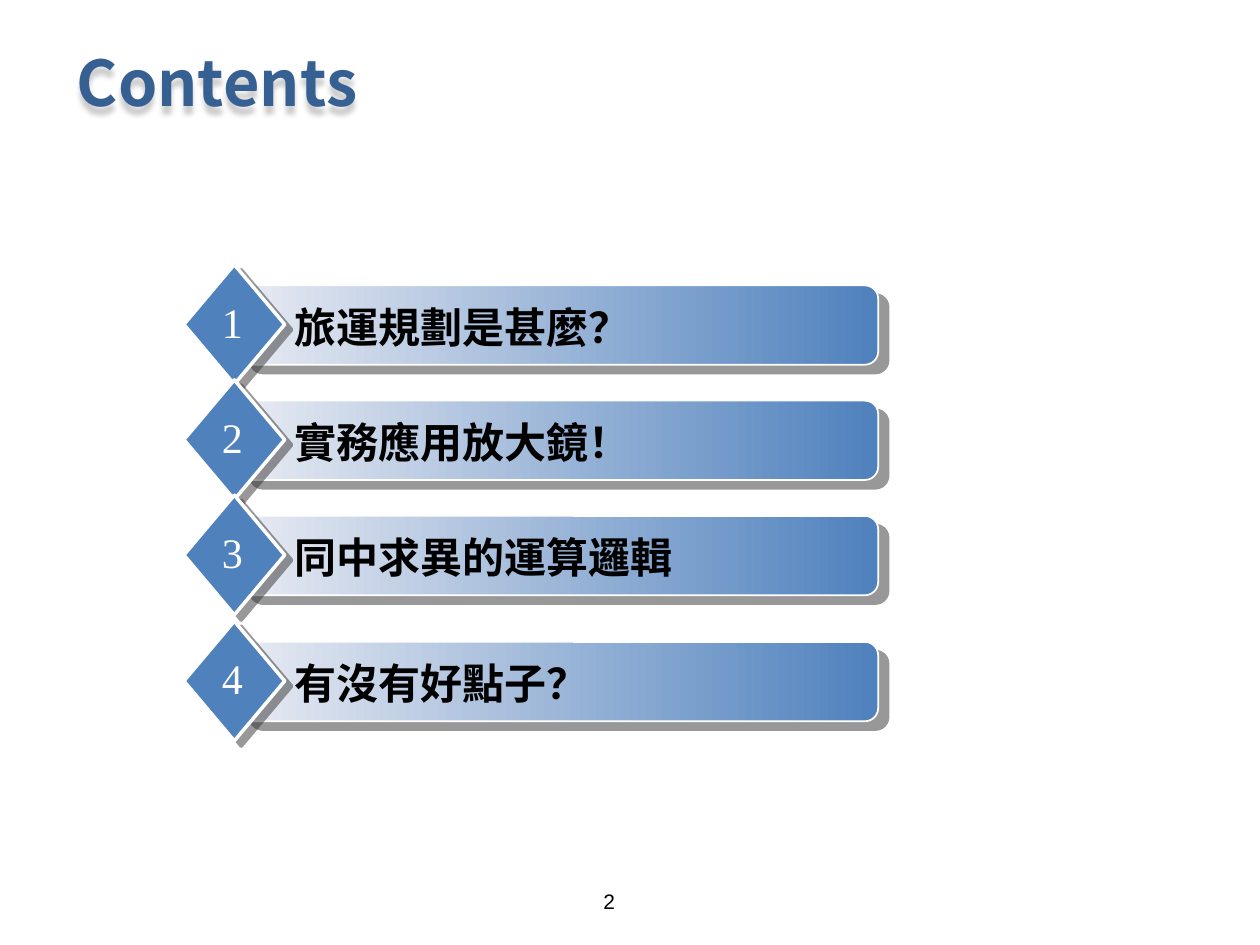
from dataclasses import dataclass

from lxml.etree import SubElement
from pptx import Presentation
from pptx.dml.color import RGBColor as RGB
from pptx.enum.shapes import MSO_SHAPE as SHAPE
from pptx.enum.text import MSO_ANCHOR as ANCHOR, MSO_AUTO_SIZE as FIT, PP_ALIGN as ALIGN
from pptx.oxml.ns import qn
from pptx.util import Inches, Pt


@dataclass(frozen=True)
class Theme:
    title: str = "376092"
    accent: str = "4F81BD"
    pale: str = "E8EBF3"
    white: str = "FFFFFF"
    ink: str = "000000"
    shadow: str = "333333"
    heading_font: str = "Noto Sans CJK SC"
    number_font: str = "Times New Roman"
    footer_font: str = "Arial"
    title_size: int = 36
    item_size: int = 24
    footer_size: int = 12


THEME = Theme()
WIDTH, HEIGHT = Inches(10), Inches(7.5)
COLS, ROWS = 100, 75
ITEMS = ["旅運規劃是甚麼？", "實務應用放大鏡！", "同中求異的運算邏輯", "有沒有好點子？"]
ITEM_PITCH = 9.15
LAST_GAP = 0.85


@dataclass(frozen=True)
class Box:
    x: float
    y: float
    w: float
    h: float

    def inner(self, x, y, w, h):
        return Box(self.x + x, self.y + y, w, h)

    def emu(self):
        cw, rh = WIDTH / COLS, HEIGHT / ROWS
        return [round(v) for v in (self.x * cw, self.y * rh, self.w * cw, self.h * rh)]


def add_shadow(sp, color, alpha, blur, dist, angle):
    sp.shadow.inherit = False
    effects = sp._element.spPr.find(qn("a:effectLst"))
    outer = SubElement(effects, qn("a:outerShdw"), blurRad=str(Pt(blur)), dist=str(Pt(dist)),
                       dir=str(angle * 60000), algn="ctr", rotWithShape="0")
    clr = SubElement(outer, qn("a:srgbClr"), val=color)
    SubElement(clr, qn("a:alpha"), val=str(alpha * 1000))


def write(sp, text, font, size, color, bold=False, align=ALIGN.LEFT, anchor=ANCHOR.TOP):
    tf = sp.text_frame
    tf.text = text
    tf.vertical_anchor = anchor
    p = tf.paragraphs[0]
    p.alignment = align
    r = p.runs[0]
    r.font.name = font
    r.font.size = Pt(size)
    r.font.bold = bold
    r.font.color.rgb = RGB.from_string(color)
    SubElement(r._r.get_or_add_rPr(), qn("a:ea"), typeface=font)
    return tf


def add_panel(shapes, kind, box, line_width, shadow_dist, shadow_angle):
    sp = shapes.add_shape(kind, *box.emu())
    sp.line.color.rgb = RGB.from_string(THEME.white)
    sp.line.width = Pt(line_width)
    add_shadow(sp, THEME.shadow, 50, 0, shadow_dist, shadow_angle)
    return sp


def add_title(slide, box):
    sp = slide.shapes.title
    sp.left, sp.top, sp.width, sp.height = box.emu()
    write(sp, "Contents", THEME.heading_font, THEME.title_size, THEME.title,
          bold=True, anchor=ANCHOR.MIDDLE)
    add_shadow(sp, THEME.ink, 20, 3, 4, 90)


def add_item(slide, box, number, text):
    shapes = slide.shapes.add_group_shape().shapes

    bar = add_panel(shapes, SHAPE.ROUNDED_RECTANGLE, box.inner(4.4, 1.65, 50.7, 6.3), 1, 7.8, 40)
    bar.fill.gradient()
    bar.fill.gradient_angle = 0
    for stop, color in zip(bar.fill.gradient_stops, (THEME.pale, THEME.accent)):
        stop.color.rgb = RGB.from_string(color)

    diamond = add_panel(shapes, SHAPE.DIAMOND, box.inner(0, 0, 8, box.h), 2, 5, 37)
    diamond.fill.solid()
    diamond.fill.fore_color.rgb = RGB.from_string(THEME.accent)

    label = shapes.add_textbox(*box.inner(7.1, 2.4, 40, 5.05).emu())
    tf = write(label, text, THEME.heading_font, THEME.item_size, THEME.ink, bold=True)
    tf.word_wrap = True
    tf.auto_size = FIT.SHAPE_TO_FIT_TEXT
    tf.margin_left = Inches(0.17)

    badge = shapes.add_textbox(*box.inner(2, 2, 3.7, 5).emu())
    tf = write(badge, str(number), THEME.number_font, THEME.item_size, THEME.white,
               align=ALIGN.CENTER, anchor=ANCHOR.MIDDLE)
    tf.word_wrap = False
    tf.auto_size = FIT.SHAPE_TO_FIT_TEXT


def add_contents(slide, box):
    for i, text in enumerate(ITEMS):
        gap = LAST_GAP if i == len(ITEMS) - 1 else 0
        add_item(slide, box.inner(0, i * ITEM_PITCH + gap, box.w, 9.5), i + 1, text)


def add_page_number(slide, box):
    sp = slide.shapes.add_textbox(*box.emu())
    write(sp, "2", THEME.footer_font, THEME.footer_size, THEME.ink).word_wrap = True


def main():
    prs = Presentation()
    prs.slide_width, prs.slide_height = WIDTH, HEIGHT
    slide = prs.slides.add_slide(prs.slide_layouts[5])
    add_title(slide, Box(5.1, 2.9, 92.1, 7.1))
    add_page_number(slide, Box(46.9, 70, 6.3, 5))
    add_contents(slide, Box(14.6, 21, 55.1, 37.8))
    prs.save("out.pptx")


if __name__ == "__main__":
    main()
